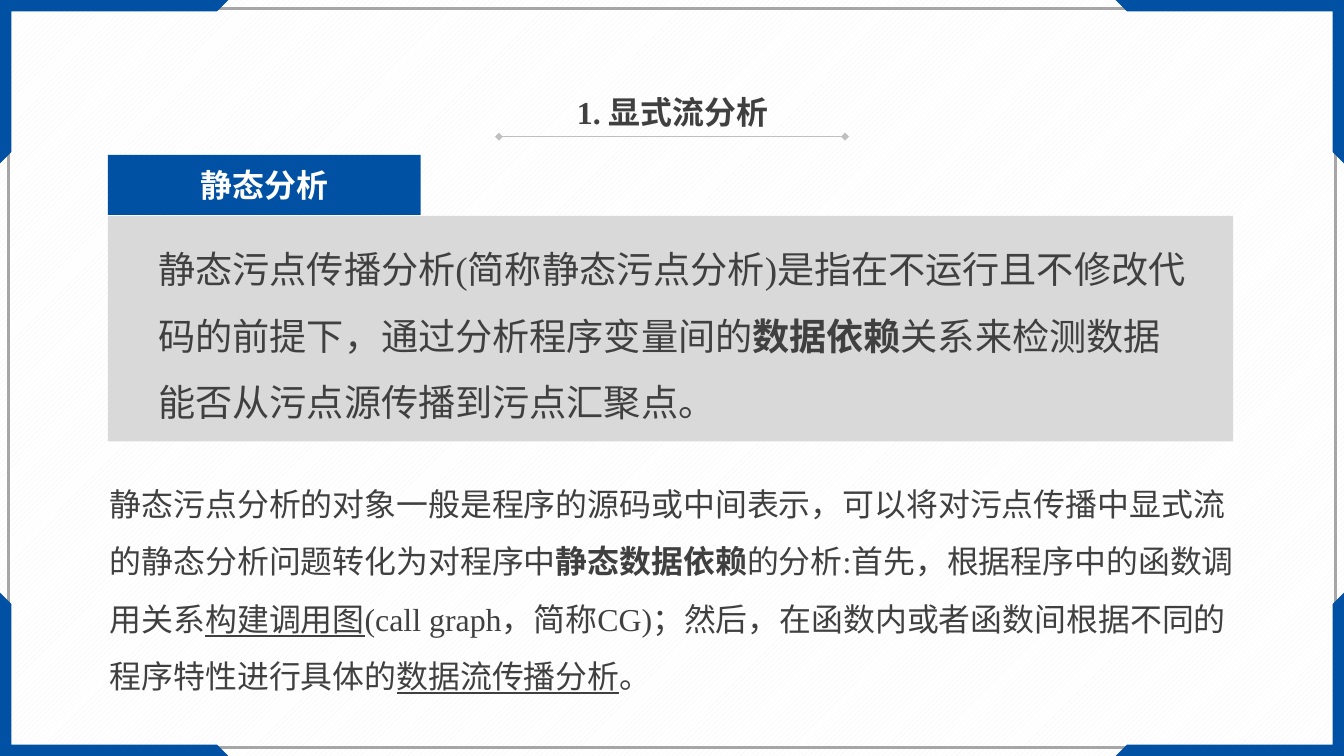
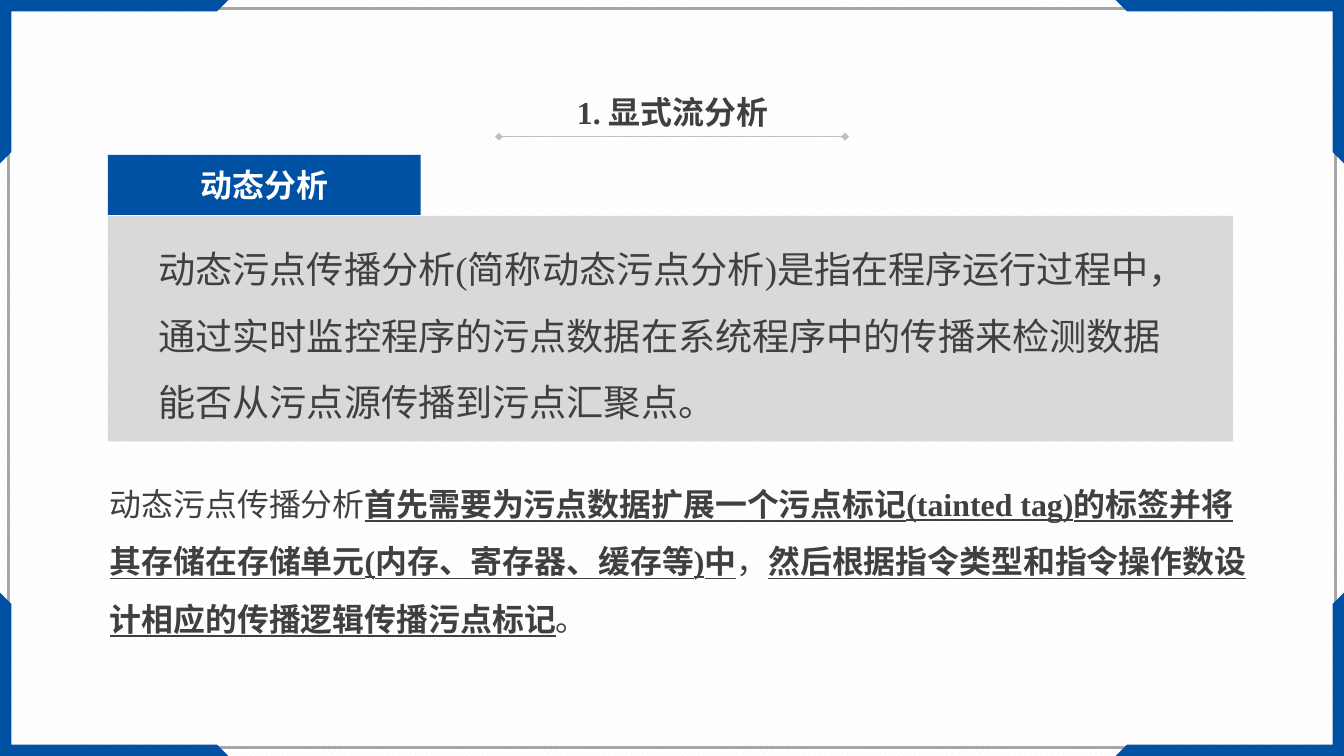
from dataclasses import dataclass

from lxml import etree
from pptx import Presentation
from pptx.dml.color import RGBColor
from pptx.enum.dml import MSO_PATTERN
from pptx.enum.lang import MSO_LANGUAGE_ID
from pptx.enum.shapes import MSO_CONNECTOR, MSO_SHAPE
from pptx.enum.text import MSO_ANCHOR, MSO_AUTO_SIZE, PP_ALIGN
from pptx.oxml.ns import qn
from pptx.util import Inches, Pt

RECTANGLE = MSO_SHAPE.RECTANGLE
STRAIGHT = MSO_CONNECTOR.STRAIGHT
DIAGONAL = MSO_PATTERN.WIDE_UPWARD_DIAGONAL
CHINESE = MSO_LANGUAGE_ID.SIMPLIFIED_CHINESE
LEFT, CENTER = PP_ALIGN.LEFT, PP_ALIGN.CENTER
MIDDLE = MSO_ANCHOR.MIDDLE
FIT_SHAPE = MSO_AUTO_SIZE.SHAPE_TO_FIT_TEXT

BOLD, UNDERLINE = "b", "u"
TITLE = "1. 显式流分析"
ANALYSES = [
    {
        "label": "静态分析",
        "definition": [
            ("静态污点传播分析(简称静态污点分析)是指在不运行且不修改代码的前提下，通过分析程序变量间的", ""),
            ("数据依赖", BOLD),
            ("关系来检测数据能否从污点源传播到污点汇聚点。", ""),
        ],
        "method": [
            ("静态污点分析的对象一般是程序的源码或中间表示，可以将对污点传播中显式流的静态分析问题转化为对程序中", ""),
            ("静态数据依赖", BOLD),
            ("的分析:首先，根据程序中的函数调用关系", ""),
            ("构建调用图", UNDERLINE),
            ("(call graph，简称CG)；然后，在函数内或者函数间根据不同的程序特性进行具体的", ""),
            ("数据流传播分析", UNDERLINE),
            ("。", ""),
        ],
        "method_size": (11.97, 2.52),
    },
    {
        "label": "动态分析",
        "definition": [
            ("动态污点传播分析(简称动态污点分析)是指在程序运行过程中，通过实时监控程序的污点数据在系统程序中的传播来检测数据能否从污点源传播到污点汇聚点。", ""),
        ],
        "method": [
            ("动态污点传播分析", ""),
            ("首先需要为污点数据扩展一个污点标记(tainted tag)的标签并将其存储在存储单元(内存、寄存器、缓存等)中", BOLD + UNDERLINE),
            ("，", ""),
            ("然后根据指令类型和指令操作数设计相应的传播逻辑传播污点标记", BOLD + UNDERLINE),
            ("。", ""),
        ],
        "method_size": (12.21, 1.92),
    },
]


@dataclass(frozen=True)
class Theme:
    blue: str = "0050A3"
    panel: str = "D9D9D9"
    text: str = "404040"
    white: str = "FFFFFF"
    stripe: str = "F2F2F2"
    frame: str = "A6A6A6"
    rule: str = "BFBFBF"
    font: str = "Times New Roman"
    body: int = 24
    lead: int = 28


THEME = Theme()
WIDTH, HEIGHT = 14.06, 7.91
FRAME_MARGIN = 0.09
CORNER_WIDTH, CORNER_HEIGHT, BAND = 2.39, 1.71, 0.12
PANEL_LEFT = 1.13


def rgb(color):
    return RGBColor.from_string(color)


def inches(*lengths):
    return [Inches(length) for length in lengths]


def add_rectangle(slide, box, fill=None, line=None):
    rectangle = slide.shapes.add_shape(RECTANGLE, *inches(*box))
    rectangle.shadow.inherit = False
    if fill:
        rectangle.fill.solid()
        rectangle.fill.fore_color.rgb = rgb(fill)
    else:
        rectangle.fill.background()
    if line:
        rectangle.line.color.rgb = rgb(line)
        rectangle.line.width = Pt(2)
    else:
        rectangle.line.fill.background()
    return rectangle


def write(frame, runs, size, color=THEME.text, bold=None, align=LEFT, spacing=None):
    frame.word_wrap = True
    paragraph = frame.paragraphs[0]
    paragraph.alignment = align
    paragraph.line_spacing = spacing
    font = paragraph.font
    font.name, font.size, font.bold = THEME.font, Pt(size), bold
    font.color.rgb = rgb(color)
    for text, style in runs:
        run = paragraph.add_run()
        run.text = text
        run.font.language_id = CHINESE
        if BOLD in style:
            run.font.bold = True
        if UNDERLINE in style:
            run.font.underline = True


def add_text(slide, box, runs, size, **style):
    frame = slide.shapes.add_textbox(*inches(*box)).text_frame
    write(frame, runs, size, **style)
    frame.auto_size = FIT_SHAPE


def add_corner(slide, right, bottom):
    outline = [
        (0, 0), (CORNER_WIDTH, 0), (CORNER_WIDTH - BAND, BAND),
        (BAND, BAND), (BAND, CORNER_HEIGHT - BAND), (0, CORNER_HEIGHT),
    ]
    points = [
        inches(WIDTH - x if right else x, HEIGHT - y if bottom else y)
        for x, y in outline
    ]
    builder = slide.shapes.build_freeform(*points[0], scale=1.0)
    builder.add_line_segments(points[1:], close=True)
    corner = builder.convert_to_shape()
    corner.shadow.inherit = False
    corner.fill.solid()
    corner.fill.fore_color.rgb = rgb(THEME.blue)
    corner.line.fill.background()


def add_backdrop(slide):
    fill = slide.background.fill
    fill.patterned()
    fill.pattern = DIAGONAL
    fill.fore_color.rgb = rgb(THEME.stripe)
    fill.back_color.rgb = rgb(THEME.white)
    margin = FRAME_MARGIN
    add_rectangle(
        slide, (margin, margin, WIDTH - 2 * margin, HEIGHT - 2 * margin), line=THEME.frame
    )
    for right in (False, True):
        for bottom in (False, True):
            add_corner(slide, right, bottom)


def add_title(slide):
    rule = slide.shapes.add_connector(STRAIGHT, *inches(5.22, 1.43, 8.84, 1.43))
    rule.line.color.rgb = rgb(THEME.rule)
    rule.line.width = Pt(0.5)
    properties = rule.element.spPr
    outline = properties.find(qn("a:ln"))
    for end in ("a:headEnd", "a:tailEnd"):
        etree.SubElement(outline, qn(end), type="diamond")
    etree.SubElement(properties, qn("a:effectLst"))
    add_text(slide, (5.03, 0.92, 4.01, 0.5), [(TITLE, "")], THEME.body,
             bold=True, align=CENTER)


def add_analysis(slide, analysis):
    label = add_rectangle(slide, (PANEL_LEFT, 1.62, 3.27, 0.63), fill=THEME.blue)
    label.text_frame.vertical_anchor = MIDDLE
    write(label.text_frame, [(analysis["label"], "")], THEME.body,
          color=THEME.white, bold=True, align=CENTER)
    add_rectangle(slide, (PANEL_LEFT, 2.26, 11.77, 2.36), fill=THEME.panel)
    add_text(slide, (1.56, 2.29, 11.03, 2.22), analysis["definition"],
             THEME.lead, spacing=1.5)
    add_text(slide, (1.05, 4.82, *analysis["method_size"]), analysis["method"],
             THEME.body, spacing=1.5)


def main():
    deck = Presentation()
    deck.slide_width, deck.slide_height = inches(WIDTH, HEIGHT)
    blank = deck.slide_layouts[6]
    for analysis in ANALYSES:
        slide = deck.slides.add_slide(blank)
        add_backdrop(slide)
        add_title(slide)
        add_analysis(slide, analysis)
    deck.save("out.pptx")


if __name__ == "__main__":
    main()
